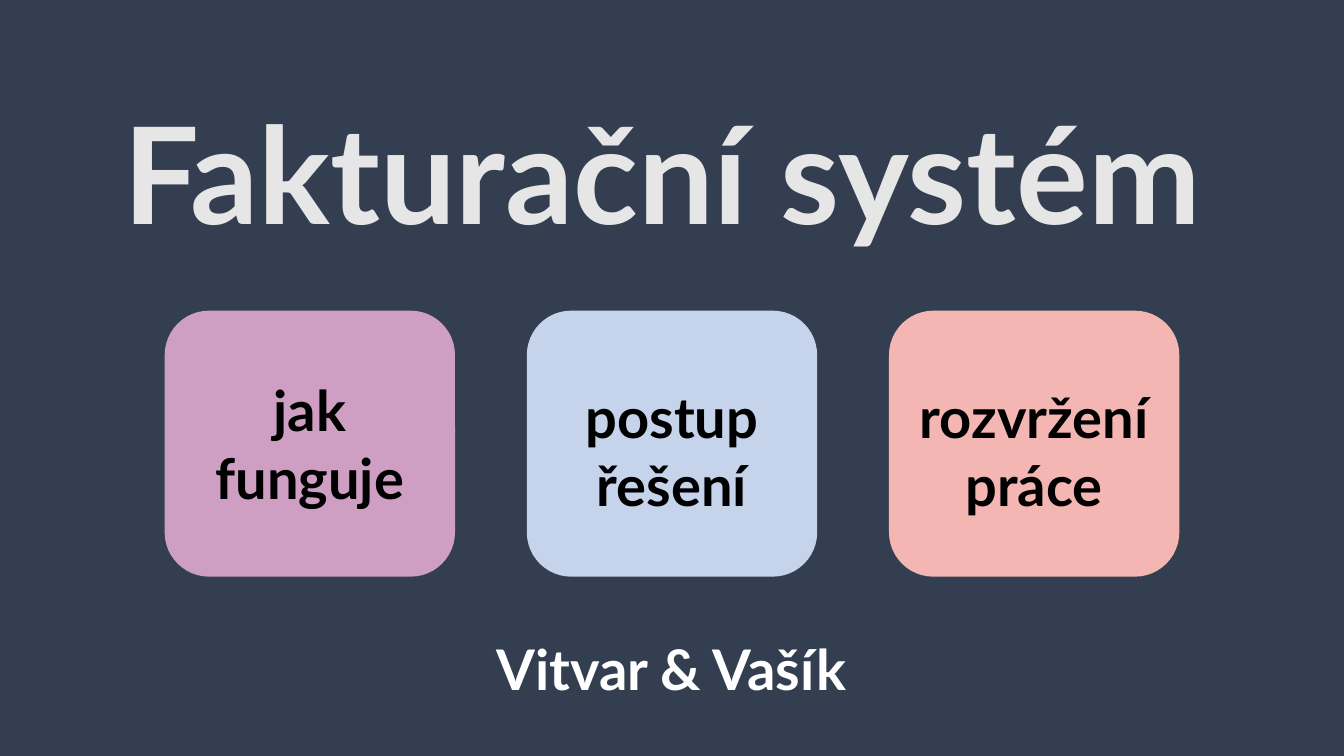
from pptx import Presentation
from pptx.dml.color import RGBColor as Color
from pptx.enum.shapes import MSO_SHAPE as Shape
from pptx.enum.text import MSO_AUTO_SIZE as AutoSize, PP_ALIGN as Align
from pptx.util import Pt

# Content
TITLE = ["Fakturační systém"]
AUTHORS = ["Vitvar & Vašík"]
# Caption paragraphs, card colour, caption top, caption width
CARDS = [
    (["jak funguje"], "CE9FC2", 265, 188.6),
    (["postup", "řešení"], "C5D3EB", 270, 188.6),
    (["rozvržení", "práce"], "F4B6B2", 270, 198.7),
]

THEME = {
    "font": "Lato",
    "background": "333F50",
    "title": {"size": 96, "color": "E7E6E6"},
    "caption": {"size": 40, "color": "000000"},
    "authors": {"size": 40, "color": "FFFFFF"},
}

# Layout in points
PAGE_WIDTH, PAGE_HEIGHT = 960, 540
CARD_WIDTH, CARD_HEIGHT, CARD_TOP = 207.4, 190, 221.9
CARD_STEP = 258.7
CAPTION_HEIGHT = 104.4


def add_card(page, left, color):
    card = page.shapes.add_shape(
        Shape.ROUNDED_RECTANGLE,
        Pt(left), Pt(CARD_TOP), Pt(CARD_WIDTH), Pt(CARD_HEIGHT))
    card.shadow.inherit = False
    card.fill.solid()
    card.fill.fore_color.rgb = Color.from_string(color)
    card.line.fill.background()


def add_text(page, lines, style, center, top, width, height):
    box = page.shapes.add_textbox(
        Pt(center - width / 2), Pt(top), Pt(width), Pt(height))
    frame = box.text_frame
    frame.word_wrap = True
    frame.auto_size = AutoSize.SHAPE_TO_FIT_TEXT
    font_format = {"name": THEME["font"], "size": Pt(style["size"]), "bold": True}
    for index, line in enumerate(lines):
        para = frame.add_paragraph() if index else frame.paragraphs[0]
        para.alignment = Align.CENTER
        span = para.add_run()
        span.text = line
        for name, value in font_format.items():
            setattr(span.font, name, value)
        span.font.color.rgb = Color.from_string(style["color"])


def main():
    deck = Presentation()
    deck.slide_width, deck.slide_height = Pt(PAGE_WIDTH), Pt(PAGE_HEIGHT)
    page = deck.slides.add_slide(deck.slide_layouts[6])
    page.background.fill.solid()
    page.background.fill.fore_color.rgb = Color.from_string(THEME["background"])

    # Title
    add_text(page, TITLE, THEME["title"], 473, 60.5, 841, 123.8)

    # Cards, centred on the page as a row
    for index, (lines, color, top, width) in enumerate(CARDS):
        center = PAGE_WIDTH / 2 + (index - (len(CARDS) - 1) / 2) * CARD_STEP
        add_card(page, center - CARD_WIDTH / 2, color)
        add_text(page, lines, THEME["caption"], center, top, width, CAPTION_HEIGHT)

    # Authors
    add_text(page, AUTHORS, THEME["authors"], 479.5, 450, 387.4, 55.4)

    deck.save("out.pptx")


if __name__ == "__main__":
    main()
